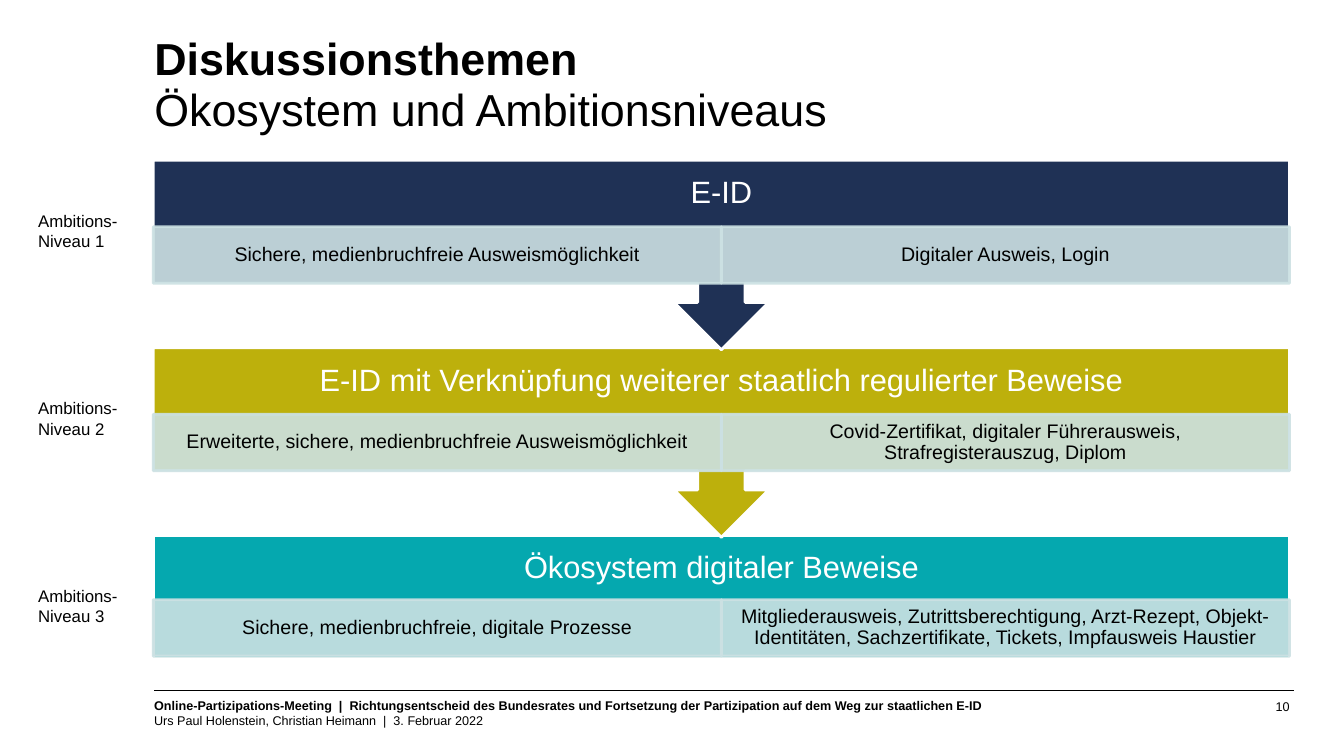
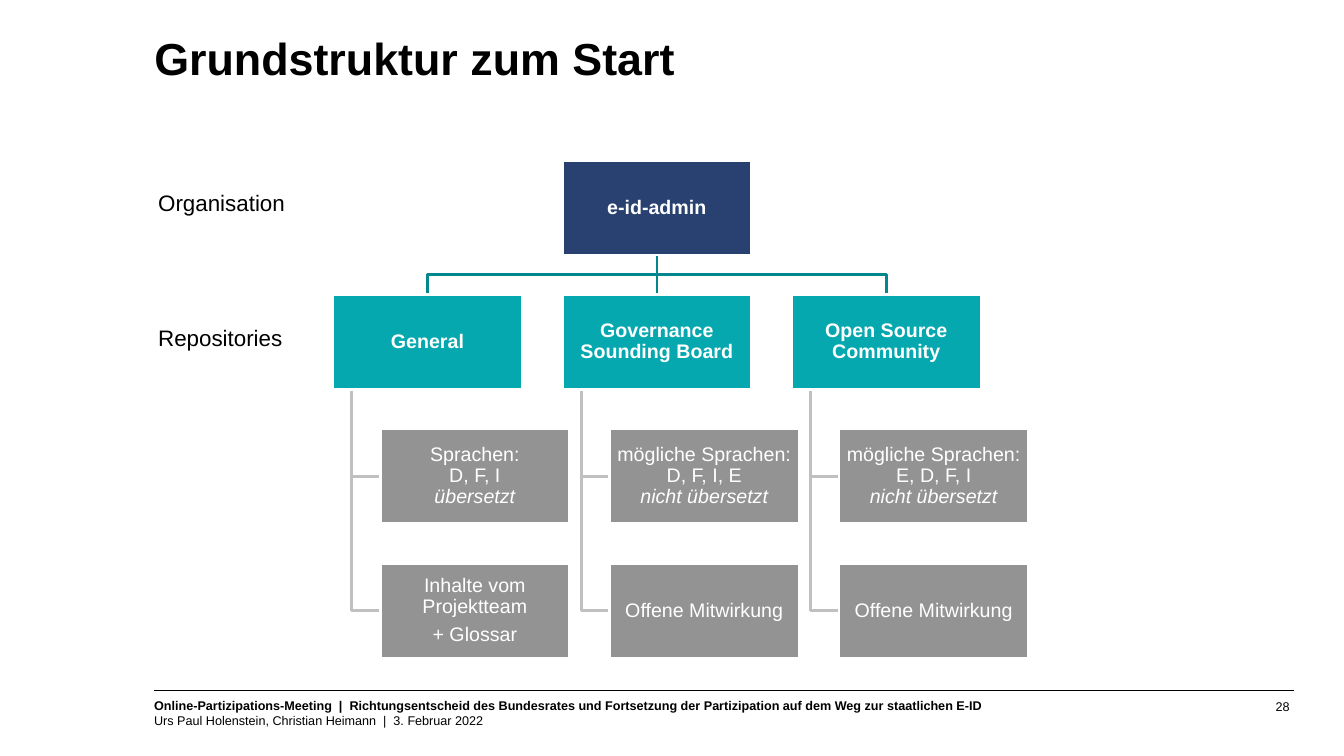
"""Build two slides on the e-ID ambition levels and the repository structure."""
import dataclasses

import lxml.etree
import pptx
import pptx.dml.color
import pptx.enum.shapes
import pptx.enum.text
import pptx.oxml.ns
import pptx.util

SHAPE = pptx.enum.shapes.MSO_SHAPE
ALIGN = pptx.enum.text.PP_ALIGN
ANCHOR = pptx.enum.text.MSO_ANCHOR
RGB = pptx.dml.color.RGBColor.from_string
Pt = pptx.util.Pt
Inches = pptx.util.Inches


@dataclasses.dataclass(frozen=True)
class Theme:
    font: str = "Arial"
    black: str = "000000"
    white: str = "FFFFFF"
    navy: str = "1F3155"
    blue: str = "294171"
    olive: str = "BDB00C"
    teal: str = "05A8AF"
    dark_teal: str = "04878C"
    pale: str = "CCE1E3"
    grey: str = "939393"
    silver: str = "C0C0C0"
    title: int = 32
    heading: int = 22
    side: int = 16
    body: int = 14
    label: int = 12
    footer: int = 9
    stroke: float = 2


T = Theme()
prs = pptx.Presentation()
prs.slide_width, prs.slide_height = Inches(13.33), Inches(7.5)
U, V = prs.slide_width / 100, prs.slide_height / 100


def put(s, x, y, w, h, fill=None, line=T.white, kind=SHAPE.RECTANGLE):
    """Add a text box, or a filled shape, placed in percent of the slide."""
    at = [int(v) for v in (x * U, y * V, w * U, h * V)]
    if fill is None:
        return s.shapes.add_textbox(*at)
    sp = s.shapes.add_shape(kind, *at)
    sp.shadow.inherit = False
    sp.fill.solid()
    sp.fill.fore_color.rgb = RGB(fill)
    sp.line.color.rgb = RGB(line)
    sp.line.width = Pt(T.stroke)
    return sp


def write(sp, paras, size, color=T.black, align=ALIGN.LEFT, anchor=ANCHOR.TOP,
          inset=(0.1, 0.05, 0.1, 0.05), spacing=1.0, bold=False):
    """Fill a shape with paragraphs and return the last one."""
    tf = sp.text_frame
    tf.word_wrap = True
    tf.auto_size = pptx.enum.text.MSO_AUTO_SIZE.NONE
    tf.vertical_anchor = anchor
    tf.margin_left, tf.margin_top, tf.margin_right, tf.margin_bottom = map(Inches, inset)
    for i, text in enumerate(paras):
        p = tf.add_paragraph() if i else tf.paragraphs[0]
        p.text = text
        p.alignment = align
        p.line_spacing = spacing
        p.font.name = T.font
        p.font.size = Pt(size)
        p.font.bold = bold
        p.font.color.rgb = RGB(color)
    return p


titles = [("Diskussionsthemen", "Ökosystem und Ambitionsniveaus", "10"),
          ("Grundstruktur zum Start", None, "28")]
for title, subtitle, number in titles:
    s = prs.slides.add_slide(prs.slide_layouts[5])
    sp = s.shapes.title
    sp.left, sp.top = int(11.48 * U), int(4.53 * V)
    sp.width, sp.height = int(84.6 * U), int(13.07 * V)
    p = write(sp, [title], T.title, inset=(0, 0, 0, 0), spacing=Pt(36), bold=True)
    if subtitle:
        p.add_line_break()
        r = p.add_run()
        r.text = subtitle
        r.font.bold = False

    rule = s.shapes.add_connector(pptx.enum.shapes.MSO_CONNECTOR.STRAIGHT, int(11.48 * U),
                                  int(91.33 * V), int(96.25 * U), int(91.33 * V))
    rule.line.color.rgb = RGB(T.black)
    rule.line.width = Pt(0.75)
    lxml.etree.SubElement(rule._element.spPr, pptx.oxml.ns.qn("a:effectLst"))
    p = write(put(s, 10.73, 91.6, 70.97, 5.2), [
        "Online-Partizipations-Meeting  |  Richtungsentscheid des Bundesrates und "
        "Fortsetzung der Partizipation auf dem Weg zur staatlichen E-ID",
        "Urs Paul Holenstein, Christian Heimann  |  3. Februar 2022"], T.footer, bold=True)
    p.font.bold = False
    write(put(s, 91.07, 92.4, 4.88, 2.67), [number], T.footer,
          align=ALIGN.RIGHT, inset=(0, 0, 0, 0.05))

top = 21.2
centred = dict(align=ALIGN.CENTER, anchor=ANCHOR.MIDDLE, spacing=0.9)

s = prs.slides[0]
left, width, pitch, box_h, cell_h = 11.4, 84.55, 24.8, 16.27, 7.47
levels = [
    ("E-ID", T.navy, 8.8,
     ["Sichere, medienbruchfreie Ausweismöglichkeit", "Digitaler Ausweis, Login"]),
    ("E-ID mit Verknüpfung weiterer staatlich regulierter Beweise", T.olive, 8.8,
     ["Erweiterte, sichere, medienbruchfreie Ausweismöglichkeit",
      "Covid-Zertifikat, digitaler Führerausweis,\vStrafregisterauszug, Diplom"]),
    ("Ökosystem digitaler Beweise", T.teal, 8.53,
     ["Sichere, medienbruchfreie, digitale Prozesse",
      "Mitgliederausweis, Zutrittsberechtigung, Arzt-Rezept, Objekt-Identitäten, "
      "Sachzertifikate, Tickets, Impfausweis Haustier"]),
]
for i, (heading, color, head_h, cells) in reversed(list(enumerate(levels))):
    y = top + i * pitch
    last = i == len(levels) - 1
    sp = put(s, left, y, width, box_h if last else 25.07, color,
             kind=SHAPE.RECTANGLE if last else SHAPE.DOWN_ARROW_CALLOUT)
    write(sp, [heading], T.heading, T.white, inset=(0.17, 0, 0.17, 0.56), **centred)
    for j, text in enumerate(cells):
        sp = put(s, left + j * width / 2, y + head_h, width / 2, cell_h, T.pale, T.pale)
        for clr in sp._element.spPr.iter(pptx.oxml.ns.qn("a:srgbClr")):
            lxml.etree.SubElement(clr, pptx.oxml.ns.qn("a:alpha"), val="90000")
        write(sp, [text], T.body, inset=(0.11, 0.02, 0.11, 0.02), **centred)
    write(put(s, 2.1, y + 6, 9.3, 6.67), [f"Ambitions-\vNiveau {i + 1}"], T.label)

s = prs.slides[1]
box_w, box_h = 14.1, 12.53
cols = [24.76 + 17.07 * i for i in range(3)]
rows = [top + 17.77 * i for i in range(4)]
indent, stem = box_w / 4, box_w / 10
root_x, root_y = cols[1] + box_w / 2, rows[0] + box_h
bar_y = (root_y + rows[1]) / 2
branches = [(T.dark_teal, [
    [(root_x, root_y), (root_x, bar_y), (x + box_w / 2, bar_y), (x + box_w / 2, rows[1])]
    for x in cols])]
branches += [(T.silver, [
    [(x + stem, rows[1] + box_h), (x + stem, y + box_h / 2), (x + indent, y + box_h / 2)]
    for y in rows[2:]]) for x in cols]
for color, paths in branches:
    fb = s.shapes.build_freeform(paths[0][0][0] * U, paths[0][0][1] * V)
    for i, path in enumerate(paths):
        points = [(x * U, y * V) for x, y in path]
        if i:
            fb.move_to(*points[0])
        fb.add_line_segments(points[1:], close=False)
    sp = fb.convert_to_shape()
    sp.shadow.inherit = False
    sp.fill.background()
    sp.line.color.rgb = RGB(color)
    sp.line.width = Pt(T.stroke)

boxes = [(cols[1], rows[0], T.blue, ["e-id-admin"], None)]
repositories = [
    ("General", "Sprachen:\vD, F, I", "übersetzt", ["Inhalte vom Projektteam", "+ Glossar"]),
    ("Governance Sounding Board", "mögliche Sprachen:\vD, F, I, E", "nicht übersetzt",
     ["Offene Mitwirkung"]),
    ("Open Source Community", "mögliche Sprachen:\vE, D, F, I", "nicht übersetzt",
     ["Offene Mitwirkung"]),
]
for x, (name, languages, translated, content) in zip(cols, repositories):
    boxes += [(x, rows[1], T.teal, [name], None),
              (x + indent, rows[2], T.grey, [languages], translated),
              (x + indent, rows[3], T.grey, content, None)]
for x, y, color, paras, italic in boxes:
    p = write(put(s, x, y, box_w, box_h, color), paras, T.body, T.white,
              inset=(0.04,) * 4, bold=color != T.grey, **centred)
    if len(paras) > 1:
        p.space_before = Pt(5)
    if italic:
        p.add_line_break()
        r = p.add_run()
        r.text = italic
        r.font.italic = True
for y, text in zip(rows, ["Organisation", "Repositories"]):
    write(put(s, 11.03, y + 3.2, 12, 4.93), [text], T.side)

prs.save("out.pptx")
